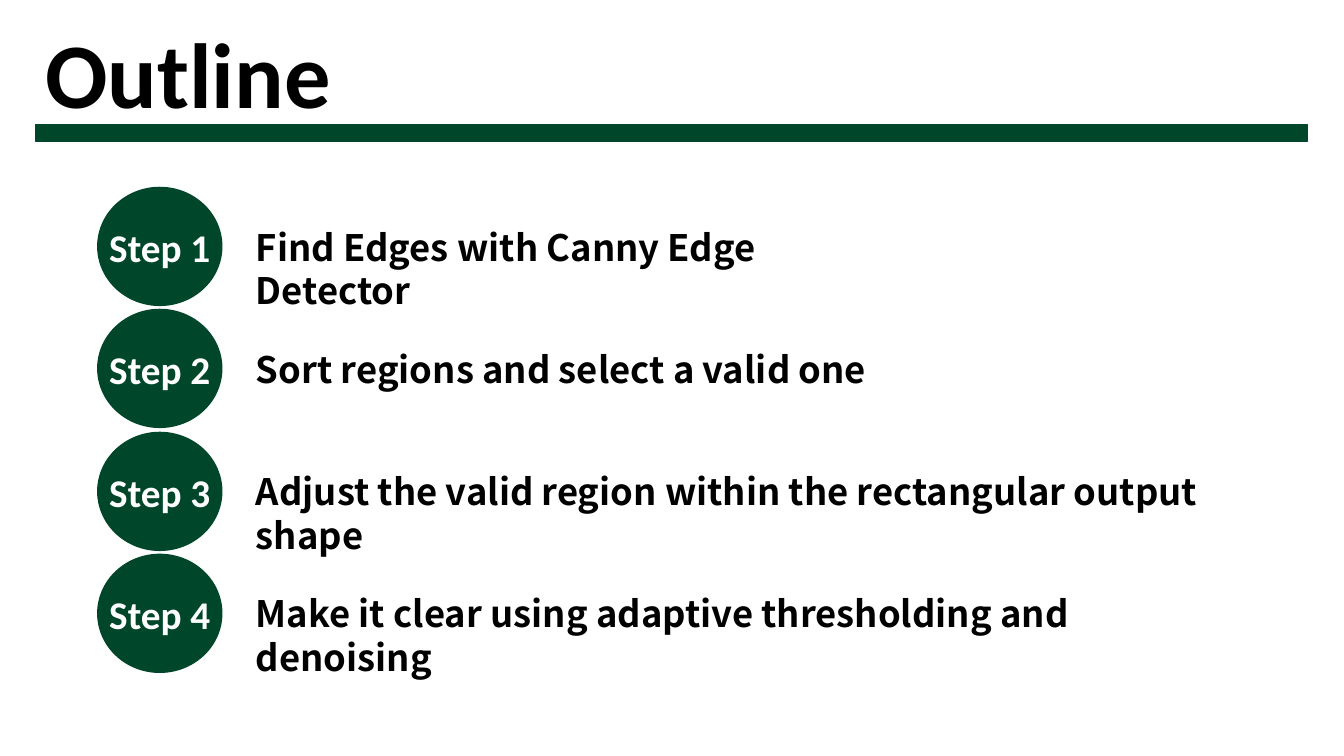
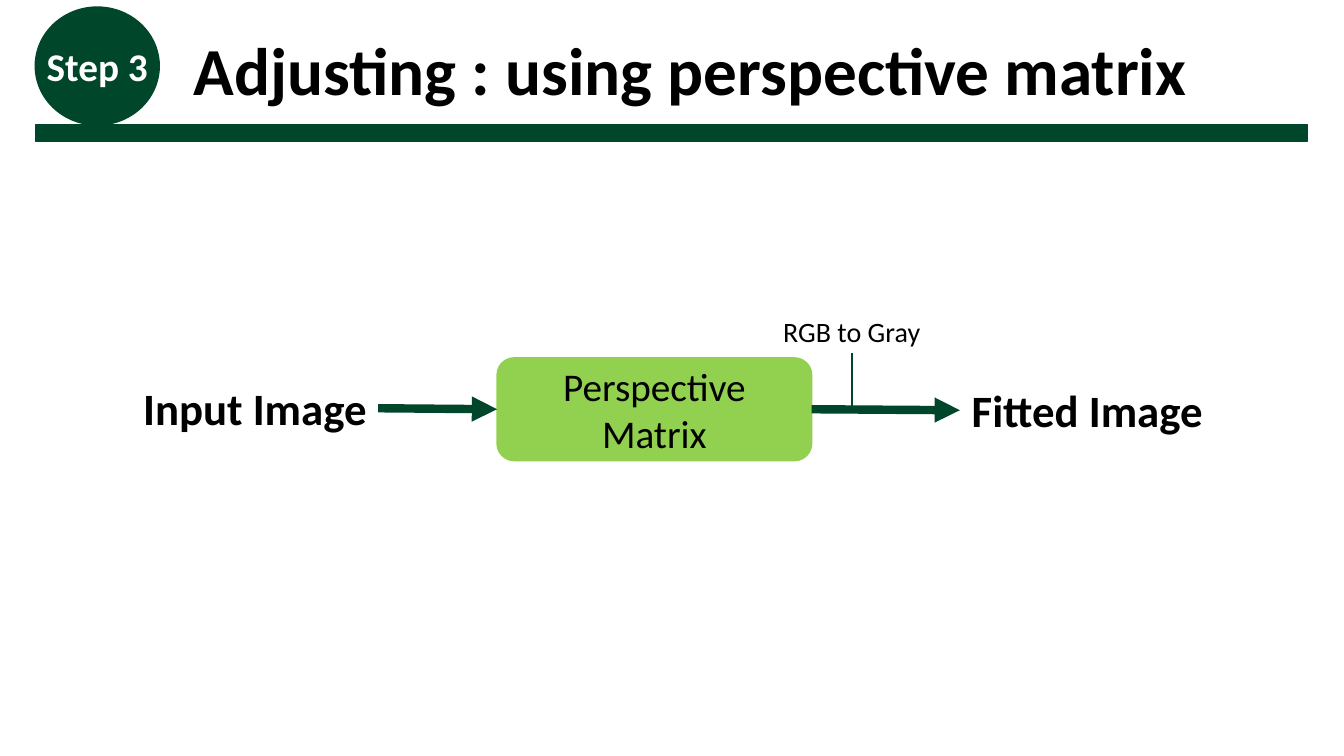
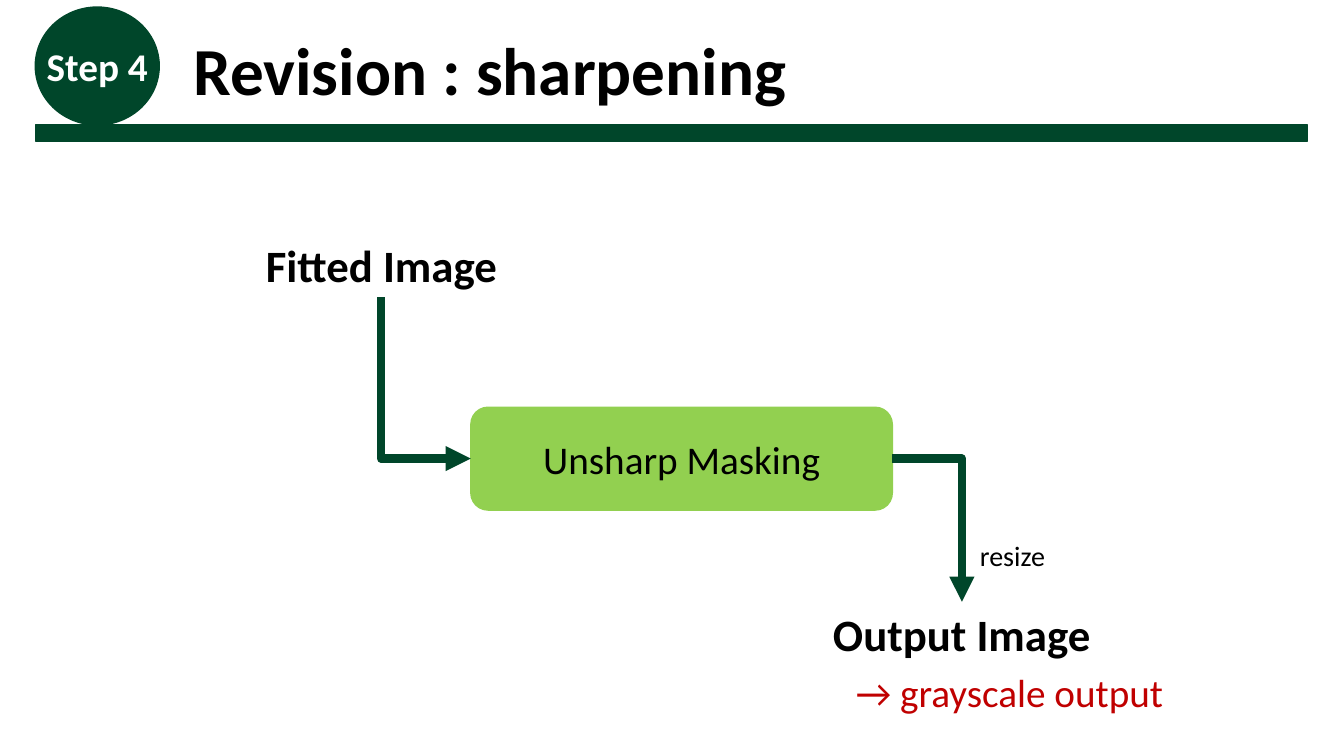
from dataclasses import dataclass

from lxml import etree
from pptx import Presentation
from pptx import util as u
from pptx.dml.color import RGBColor
from pptx.enum import shapes, text
from pptx.oxml import ns

# Shared scale, colours and fonts
PX = 9144  # EMU in one px: 100 px to the inch
GREEN = RGBColor(0x00, 0x46, 0x2A)
LIME = RGBColor(0x92, 0xD0, 0x50)
RED = RGBColor(0xC0, 0x00, 0x00)
BLACK = RGBColor(0x00, 0x00, 0x00)
WHITE = RGBColor(0xFF, 0xFF, 0xFF)
LATIN = "Calibri"
KOREAN = "Noto Sans CJK KR"

SHAPE = shapes.MSO_SHAPE
LEFT, CENTER = text.PP_ALIGN.LEFT, text.PP_ALIGN.CENTER


@dataclass(frozen=True)
class Style:
    size: int
    bold: bool = False
    color: RGBColor = BLACK
    font: str = LATIN
    align: text.PP_ALIGN = LEFT


OUTLINE_TITLE = Style(66, bold=True)
STEP_TITLE = Style(48, bold=True)
STEP_LABEL = Style(28, bold=True, color=WHITE, align=CENTER)
OUTLINE_ITEM = Style(26, bold=True, font=KOREAN)
STAGE = Style(32, bold=True, align=CENTER)
PROCESS = Style(28, align=CENTER)
NOTE = Style(20)
REMARK = Style(28, color=RED)


@dataclass(frozen=True)
class Box:
    left: int
    top: int
    width: int
    height: int

    def emu(self) -> list[int]:
        return [v * PX for v in (self.left, self.top, self.width, self.height)]


@dataclass(frozen=True)
class Label:
    words: str
    box: Box
    style: Style
    wrap: bool = False


@dataclass(frozen=True)
class Line:
    begin: tuple[int, int]
    end: tuple[int, int]
    width: float = 6
    arrow: str = "tailEnd"  # "headEnd" puts the arrow at begin, "" leaves it out
    elbow: bool = False  # leaves begin sideways and reaches end upright


# Drawing functions
def write(shape, words: str, style: Style) -> None:
    shape.text_frame.text = words
    for paragraph in shape.text_frame.paragraphs:
        paragraph.alignment = style.align
        for run in paragraph.runs:
            run.font.name = style.font
            run.font.size = u.Pt(style.size)
            run.font.bold = style.bold
            run.font.color.rgb = style.color


def add_label(slide, label: Label) -> None:
    shape = slide.shapes.add_textbox(*label.box.emu())
    write(shape, label.words, label.style)
    shape.text_frame.word_wrap = label.wrap
    shape.text_frame.auto_size = text.MSO_AUTO_SIZE.SHAPE_TO_FIT_TEXT


def add_block(slide, kind: shapes.MSO_SHAPE, box: Box, color: RGBColor):
    shape = slide.shapes.add_shape(kind, *box.emu())
    shape.shadow.inherit = False
    shape.fill.solid()
    shape.fill.fore_color.rgb = color
    shape.line.color.rgb = color
    shape.line.width = u.Pt(1)
    shape.text_frame.vertical_anchor = text.MSO_ANCHOR.MIDDLE
    return shape


def add_step(slide, number: int, left: int, top: int) -> None:
    bubble = add_block(slide, SHAPE.OVAL, Box(left, top, 123, 117), GREEN)
    write(bubble, f"Step {number}", STEP_LABEL)
    frame = bubble.text_frame
    frame.margin_left = frame.margin_right = 0
    frame.word_wrap = False


def add_process(slide, words: str, box: Box) -> None:
    process = add_block(slide, SHAPE.ROUNDED_RECTANGLE, box, LIME)
    write(process, words, PROCESS)
    process.text_frame.word_wrap = True


def add_line(slide, line: Line) -> None:
    kind = shapes.MSO_CONNECTOR.ELBOW if line.elbow else shapes.MSO_CONNECTOR.STRAIGHT
    ends = [v * PX for v in (*line.begin, *line.end)]
    connector = slide.shapes.add_connector(kind, *ends)
    connector.line.color.rgb = GREEN
    connector.line.width = u.Pt(line.width)
    properties = connector._element.spPr
    if line.elbow:
        properties.find(ns.qn("a:prstGeom")).set("prst", "bentConnector2")
    if line.arrow:
        outline = properties.find(ns.qn("a:ln"))
        etree.SubElement(outline, ns.qn(f"a:{line.arrow}"), type="triangle")
    etree.SubElement(properties, ns.qn("a:effectLst"))


def add_slide(presentation):
    slide = presentation.slides.add_slide(presentation.slide_layouts[6])
    add_block(slide, SHAPE.RECTANGLE, Box(35, 124, 1262, 16), GREEN)
    return slide


def add_step_slide(presentation, number: int, title: str, width: int):
    slide = add_slide(presentation)
    add_step(slide, number, 35, 7)
    add_label(slide, Label(title, Box(182, 23, width, 91), STEP_TITLE))
    return slide


# Slides
def build_outline(presentation) -> None:
    slide = add_slide(presentation)
    add_label(slide, Label("Outline", Box(35, 11, 868, 121), OUTLINE_TITLE, wrap=True))
    steps = [
        ("Find Edges with Canny Edge Detector", 677),
        ("Sort regions and select a valid one", 628),
        ("Adjust the valid region within the rectangular output shape", 1064),
        ("Make it clear using adaptive thresholding and denoising", 1007),
    ]
    for index, (words, width) in enumerate(steps):
        top = 186 + round(121.4 * index)
        add_step(slide, index + 1, 97, top)
        add_label(slide, Label(words, Box(244, top + 32, width, 54), OUTLINE_ITEM, wrap=True))


def build_adjusting(presentation) -> None:
    slide = add_step_slide(presentation, 3, "Adjusting : using perspective matrix", 1016)
    add_process(slide, "Perspective Matrix", Box(493, 355, 312, 102))
    for label in (
        Label("Input Image", Box(131, 373, 244, 64), STAGE),
        Label("Fitted Image", Box(952, 375, 253, 64), STAGE),
        Label("RGB to Gray", Box(767, 307, 157, 44), NOTE),
    ):
        add_label(slide, label)
    for line in (
        Line((375, 405), (493, 406)),
        Line((805, 406), (952, 407)),
        Line((845, 350), (845, 405), width=1.5, arrow=""),
    ):
        add_line(slide, line)


def build_revision(presentation) -> None:
    slide = add_step_slide(presentation, 4, "Revision : sharpening", 614)
    add_process(slide, "Unsharp Masking", Box(467, 404, 418, 102))
    for label in (
        Label("Fitted Image", Box(252, 231, 253, 64), STAGE),
        Label("Output Image", Box(815, 597, 278, 64), STAGE),
        Label("resize", Box(962, 529, 86, 44), NOTE),
        Label("→ grayscale output", Box(839, 658, 328, 57), REMARK),
    ):
        add_label(slide, label)
    for line in (
        Line((885, 455), (954, 597), elbow=True),
        Line((467, 455), (378, 295), arrow="headEnd", elbow=True),
    ):
        add_line(slide, line)


def main() -> None:
    presentation = Presentation()
    presentation.slide_width, presentation.slide_height = u.Inches(13.33), u.Inches(7.5)
    build_outline(presentation)
    build_adjusting(presentation)
    build_revision(presentation)
    presentation.save("out.pptx")


if __name__ == "__main__":
    main()
